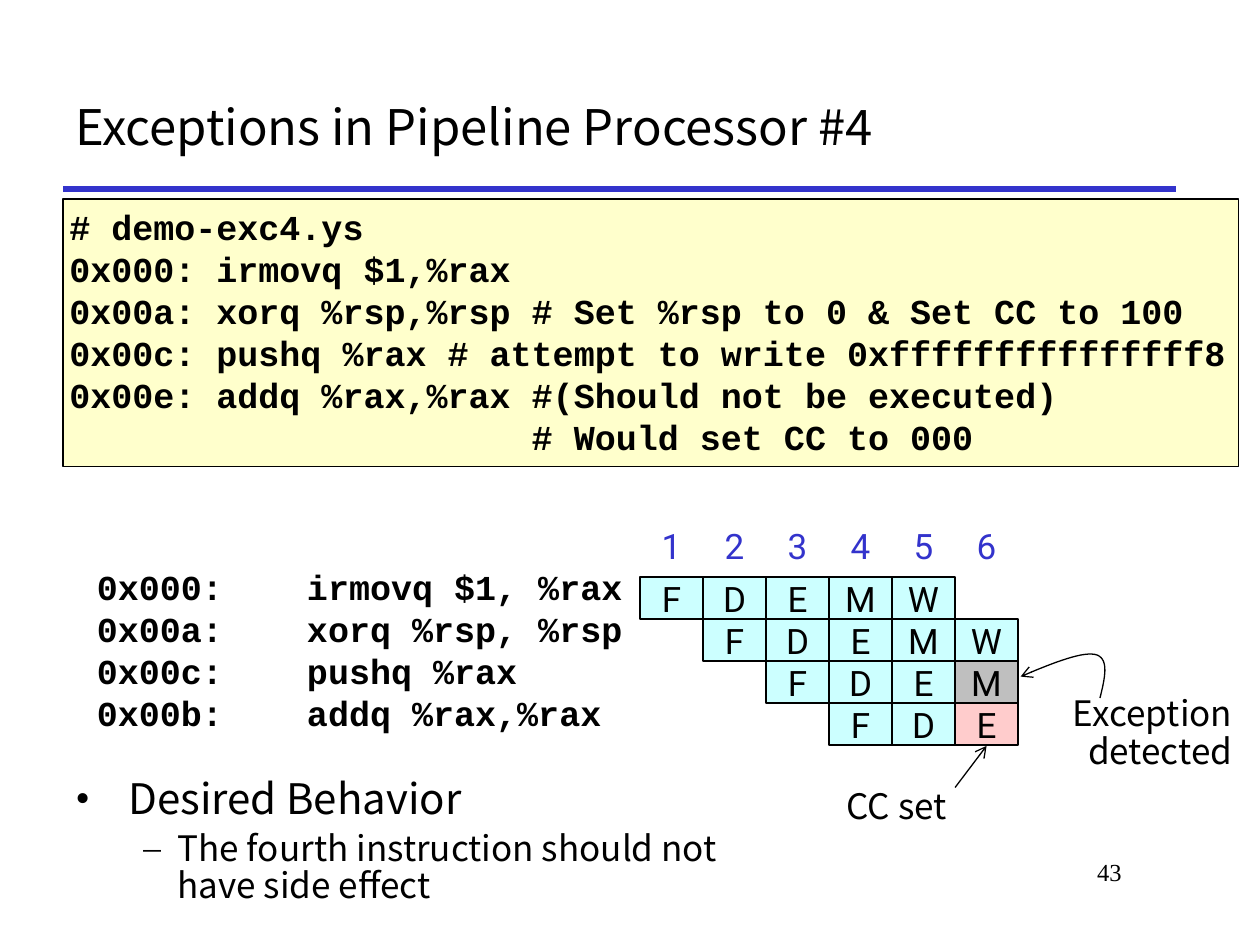
from typing import NamedTuple

from lxml.etree import SubElement
from pptx import Presentation
from pptx.dml.color import RGBColor
from pptx.enum.shapes import MSO_CONNECTOR, MSO_SHAPE
from pptx.enum.text import MSO_ANCHOR as Anchor, PP_ALIGN as Align
from pptx.oxml.ns import qn
from pptx.util import Inches, Pt

SANS, MONO, LABEL, SERIF = "Noto Sans CJK KR", "Courier New", "Roboto", "Times New Roman"
BLACK, WHITE, BLUE = "000000", "FFFFFF", "3333CC"
CYAN, GRAY, PINK, CREAM = "CCFFFF", "BFBFBF", "FFCCCC", "FFFFCC"

GRID_LEFT, GRID_TOP, HEADER_TOP = 5.08, 4.58, 4.16
CELL_WIDTH, CELL_HEIGHT = 0.5, 1 / 3
LISTING_LEFT, LISTING_TOP, LISTING_WIDTH = 0.67, 4.49, 2.84


class Box(NamedTuple):
    left: float
    top: float
    width: float
    height: float


class Style(NamedTuple):
    font: str
    size: float = 20
    color: str = BLACK
    bold: bool = False
    align: Align = Align.LEFT


class Instruction(NamedTuple):
    code: str
    stages: str


SOURCE_CODE = [
    "# demo-exc4.ys",
    "0x000: irmovq $1,%rax",
    "0x00a: xorq %rsp,%rsp # Set %rsp to 0 & Set CC to 100",
    "0x00c: pushq %rax # attempt to write 0xfffffffffffffff8",
    "0x00e: addq %rax,%rax #(Should not be executed)",
    "                      # Would set CC to 000",
]
INSTRUCTIONS = [
    Instruction("0x000:    irmovq $1, %rax", "FDEMW"),
    Instruction("0x00a:    xorq %rsp, %rsp", "FDEMW"),
    Instruction("0x00c:    pushq %rax", "FDEM"),
    Instruction("0x00b:    addq %rax,%rax", "FDE"),
]
CYCLES = 6
STAGE_FILLS = {(2, 5): GRAY, (3, 5): PINK}

CODE = Style(MONO, bold=True)
STAGE = Style(LABEL, align=Align.CENTER)
CYCLE = Style(LABEL, color=BLUE, align=Align.CENTER)


def rgb(color: str) -> RGBColor:
    return RGBColor.from_string(color)


def write(shape, lines: list[str], style: Style, anchor=Anchor.TOP,
          side: float = 0.1, wrap: bool = True) -> None:
    frame = shape.text_frame
    frame.word_wrap = wrap
    frame.vertical_anchor = anchor
    frame.margin_left = frame.margin_right = Inches(side)
    frame.margin_top = frame.margin_bottom = Inches(0.05)
    frame.text = "\n".join(lines)
    for paragraph in frame.paragraphs:
        paragraph.alignment = style.align
        set_font(paragraph, style)


def set_font(paragraph, style: Style) -> None:
    font = paragraph.font
    font.name, font.size, font.bold = style.font, Pt(style.size), style.bold
    font.color.rgb = rgb(style.color)


def add_text(slide, box: Box, text: str, style: Style, **layout):
    shape = slide.shapes.add_textbox(*map(Inches, box))
    write(shape, [text], style, **layout)
    return shape


def add_rectangle(slide, box: Box, fill: str, line_width: float = 0):
    shape = slide.shapes.add_shape(MSO_SHAPE.RECTANGLE, *map(Inches, box))
    shape.shadow.inherit = False
    shape.fill.solid()
    shape.fill.fore_color.rgb = rgb(fill)
    if line_width:
        set_line(shape, BLACK, line_width)
    else:
        shape.line.fill.background()
    return shape


def add_cell(slide, box: Box, text: str, style: Style,
             fill: str = WHITE, line_width: float = 0) -> None:
    shape = add_rectangle(slide, box, fill, line_width)
    write(shape, [text], style, anchor=Anchor.MIDDLE, wrap=False)


def set_line(shape, color: str, width: float, arrow: bool = False) -> None:
    shape.line.color.rgb = rgb(color)
    shape.line.width = Pt(width)
    if arrow:
        SubElement(shape.line._get_or_add_ln(), qn("a:tailEnd"), type="arrow")


def add_line(slide, start, end, color: str, width: float, arrow: bool = False) -> None:
    line = slide.shapes.add_connector(MSO_CONNECTOR.STRAIGHT, *map(Inches, (*start, *end)))
    set_line(line, color, width, arrow)
    SubElement(line._element.spPr, qn("a:effectLst"))


def bezier(points, steps: int = 16) -> list[tuple[int, int]]:
    """Return points along a cubic curve, in EMU and without its start."""
    curve = []
    for step in range(1, steps + 1):
        t = step / steps
        weights = ((1 - t) ** 3, 3 * t * (1 - t) ** 2, 3 * t ** 2 * (1 - t), t ** 3)
        curve.append(tuple(Inches(sum(w * p[axis] for w, p in zip(weights, points)))
                           for axis in (0, 1)))
    return curve


def add_curved_arrow(slide) -> None:
    start, top, end = (8.73, 5.54), (8.71, 5.2), (8.1, 5.37)
    points = (bezier([start, (8.77, 5.38), (8.8, 5.24), top])
              + bezier([top, (8.61, 5.16), (8.36, 5.26), end]))
    builder = slide.shapes.build_freeform(*map(Inches, start))
    builder.add_line_segments(points, close=False)
    arrow = builder.convert_to_shape()
    arrow.shadow.inherit = False
    arrow.fill.background()
    set_line(arrow, BLACK, 0.75, arrow=True)


def add_bullet(paragraph, character: str, margin: float, hang: float, style: Style) -> None:
    properties = paragraph._p.get_or_add_pPr()
    properties.set("marL", str(Inches(margin)))
    properties.set("indent", str(-Inches(hang)))
    paragraph.line_spacing = 0.9
    SubElement(properties, qn("a:buFont"), typeface=SERIF)
    SubElement(properties, qn("a:buChar"), char=character)
    set_font(paragraph, style)


def add_behavior(slide) -> None:
    shape = slide.shapes.add_textbox(*map(Inches, Box(0.5, 6.13, 5.33, 1.03)))
    write(shape, [], Style(SANS))
    heading = shape.text_frame.paragraphs[0]
    heading.text = "Desired Behavior"
    heading._p.remove(heading._p.pPr)
    add_bullet(heading, "•", 0.42, 0.42, Style(SANS, 24))
    detail = shape.text_frame.add_paragraph()
    detail.text = "The fourth instruction should not have side effect"
    detail.level = 1
    detail.space_before = Pt(4)
    add_bullet(detail, "–", 0.81, 0.27, Style(SANS))


def add_pipeline(slide) -> None:
    for cycle in range(CYCLES):
        box = Box(GRID_LEFT + cycle * CELL_WIDTH, HEADER_TOP, CELL_WIDTH, CELL_HEIGHT)
        add_cell(slide, box, str(cycle + 1), CYCLE)
    for row, instruction in enumerate(INSTRUCTIONS):
        offset = row * CELL_HEIGHT
        box = Box(LISTING_LEFT, LISTING_TOP + offset, LISTING_WIDTH, CELL_HEIGHT)
        add_cell(slide, box, instruction.code, CODE)
        for cycle, stage in enumerate(instruction.stages, start=row):
            box = Box(GRID_LEFT + cycle * CELL_WIDTH, GRID_TOP + offset,
                      CELL_WIDTH, CELL_HEIGHT)
            add_cell(slide, box, stage, STAGE, STAGE_FILLS.get((row, cycle), CYAN), 1)


def main() -> None:
    presentation = Presentation()
    presentation.slide_width, presentation.slide_height = Inches(10), Inches(7.5)
    slide = presentation.slides.add_slide(presentation.slide_layouts[6])

    add_line(slide, (0.5, 1.5), (9.33, 1.5), BLUE, 3)
    add_text(slide, Box(0.5, 0.5, 8.83, 1), "Exceptions in Pipeline Processor #4",
             Style(SANS, 28), anchor=Anchor.MIDDLE)
    add_text(slide, Box(7.58, 6.75, 1.42, 0.5), "43", Style(SERIF, 14, align=Align.RIGHT))
    add_behavior(slide)
    listing = add_rectangle(slide, Box(0.5, 1.58, 9.33, 2.12), CREAM, 0.75)
    write(listing, SOURCE_CODE, CODE, side=0.05)
    exception = add_text(slide, Box(8.33, 5.48, 1.5, 0.71), "Exception detected",
                         Style(SANS, align=Align.RIGHT), side=0.05)
    exception.text_frame.paragraphs[0].line_spacing = 0.9
    add_pipeline(slide)
    add_line(slide, (7.58, 6.25), (7.83, 5.92), BLACK, 0.75, arrow=True)
    add_text(slide, Box(6.67, 6.18, 1.33, 0.44), "CC set", Style(SANS), side=0.05)
    add_curved_arrow(slide)
    presentation.save("out.pptx")


if __name__ == "__main__":
    main()
